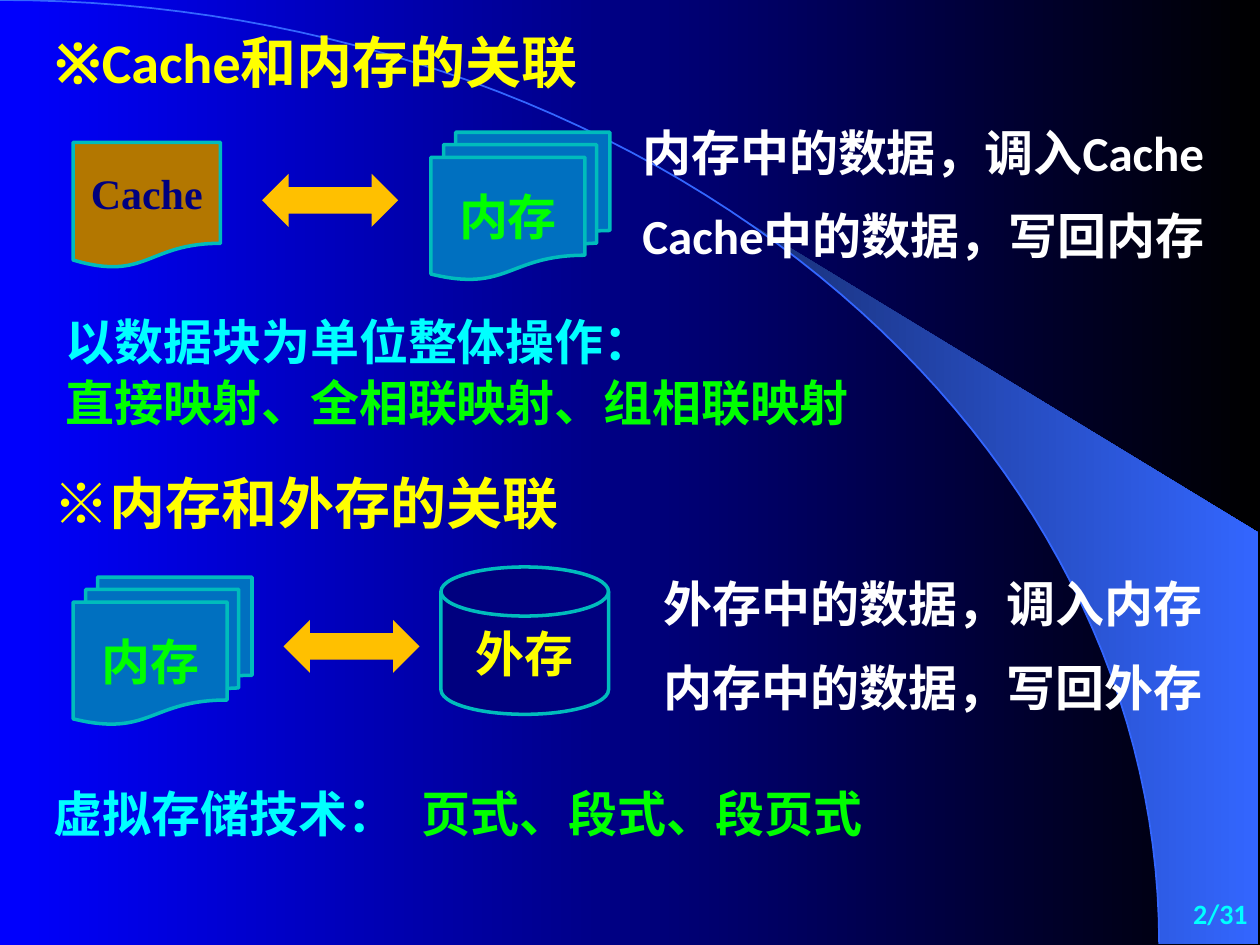
from dataclasses import dataclass
from math import acos, cos, pi, sin

from lxml.etree import SubElement
from pptx import Presentation
from pptx.dml.color import RGBColor
from pptx.enum.shapes import MSO_SHAPE as Preset
from pptx.enum.text import MSO_ANCHOR as Anchor, MSO_AUTO_SIZE as AutoSize, PP_ALIGN as Align
from pptx.oxml.ns import qn
from pptx.util import Inches, Pt

COLORS = {
    "blue": "0000FF", "black": "000000", "wedge": "182F76", "arc": "3366FF",
    "memory": "0070C0", "outline": "00BCBC", "cache": "B37700", "navy": "00007F",
    "arrow": "FFC000", "yellow": "FFFF00", "green": "00FF00", "cyan": "00FFFF",
    "white": "FFFFFF",
}
CJK = "Noto Sans CJK SC"
ARC_WIDTH, ARC_HEIGHT = 9.2, 7.49


@dataclass
class Caption:
    text: str
    box: tuple
    color: str
    size: int = 28
    align: Align = Align.LEFT
    anchor: Anchor = Anchor.TOP


@dataclass
class Store:
    preset: Preset
    box: tuple
    fill: str
    text: str
    color: str
    size: int = 28
    font: str = CJK


CAPTIONS = [
    Caption("内存中的数据，调入Cache", (5, 0.92, 5, 0.58), "white"),
    Caption("Cache中的数据，写回内存", (5, 1.58, 4.83, 0.58), "white"),
    Caption("※内存和外存的关联", (0.33, 3.67, 5.42, 0.67), "yellow", 32),
    Caption("外存中的数据，调入内存", (5.17, 4.5, 4.83, 0.58), "white"),
    Caption("内存中的数据，写回外存", (5.17, 5.17, 4.83, 0.58), "white"),
    Caption("虚拟存储技术：", (0.33, 6.17, 3.33, 0.67), "cyan"),
    Caption("页式、段式、段页式", (3.25, 6.17, 4.08, 0.58), "green"),
    Caption("2/31", (7.92, 7, 2.08, 0.5), "cyan", 16, Align.RIGHT, Anchor.MIDDLE),
]
STORES = [
    Store(Preset.FLOWCHART_MULTIDOCUMENT, (3.42, 1.05, 1.42, 1.17), "memory", "内存", "green"),
    Store(Preset.FLOWCHART_DOCUMENT, (0.58, 1.13, 1.17, 1), "cache", "Cache", "navy", 24,
          "Times New Roman"),
    Store(Preset.FLOWCHART_MAGNETIC_DISK, (3.5, 4.5, 1.33, 1.17), "navy", "外存", "yellow"),
    Store(Preset.FLOWCHART_MULTIDOCUMENT, (0.58, 4.58, 1.42, 1.17), "memory", "内存", "green"),
]
ARROWS = [(2.08, 1.38, 1.08, 0.42), (2.25, 4.92, 1.08, 0.42)]


def rgb(name: str) -> RGBColor:
    return RGBColor.from_string(COLORS[name])


def apply(target, formats: dict) -> None:
    for attribute, value in formats.items():
        setattr(target, attribute, value)


def place(shape, box: tuple) -> None:
    apply(shape, dict(zip(("left", "top", "width", "height"), map(Inches, box))))


def write(paragraph, text: str, color: str, size: int, font: str = "Calibri",
          align: Align = Align.LEFT) -> None:
    run = paragraph.add_run()
    run.text = text
    apply(paragraph, {"alignment": align, "space_before": Pt(0)})
    apply(run.font, {"name": font, "size": Pt(size), "bold": True})
    run.font.color.rgb = rgb(color)
    SubElement(run.font._element, qn("a:ea"), typeface=CJK)


def set_frame(frame, anchor: Anchor) -> None:
    apply(frame, {"word_wrap": True, "auto_size": AutoSize.NONE, "vertical_anchor": anchor})


def set_gradient(fill, names: tuple) -> None:
    fill.gradient()
    fill.gradient_angle = 0
    for stop, name in zip(fill.gradient_stops, names):
        stop.color.rgb = rgb(name)


def arc_points(start: float, steps: int = 60) -> list:
    angles = [start + (pi / 2 - start) * i / steps for i in range(steps + 1)]
    return [(Inches(ARC_WIDTH * sin(a)), Inches(ARC_HEIGHT * (1 - cos(a)))) for a in angles]


def add_outline(slide, points: list, close: bool):
    builder = slide.shapes.build_freeform(*points[0])
    builder.add_line_segments(points[1:], close=close)
    outline = builder.convert_to_shape()
    outline.shadow.inherit = False
    outline.element.getparent().insert(2, outline.element)
    return outline


def add_backdrop(slide) -> None:
    set_gradient(slide.background.fill, ("blue", "black"))
    arc = add_outline(slide, arc_points(0), False)
    arc.fill.background()
    arc.line.color.rgb = rgb("arc")
    arc.line.width = Pt(1)
    tangent = acos(1 - 1.73 / ARC_HEIGHT)
    right_edge = [(Inches(9.99), Inches(y)) for y in (7.49, 4.23)]
    wedge = add_outline(slide, arc_points(tangent) + right_edge, True)
    set_gradient(wedge.fill, ("wedge", "arc"))
    wedge.line.fill.background()


def add_preset(slide, preset: Preset, box: tuple, fill: str):
    shape = slide.shapes.add_shape(preset, *map(Inches, box))
    shape.shadow.inherit = False
    shape.fill.solid()
    shape.fill.fore_color.rgb = rgb(fill)
    return shape


def add_store(slide, store: Store) -> None:
    shape = add_preset(slide, store.preset, store.box, store.fill)
    shape.line.color.rgb = rgb("outline")
    shape.line.width = Pt(2)
    set_frame(shape.text_frame, Anchor.MIDDLE)
    write(shape.text_frame.paragraphs[0], store.text, store.color, store.size, store.font,
          Align.CENTER)


def add_caption(slide, caption: Caption) -> None:
    frame = slide.shapes.add_textbox(*map(Inches, caption.box)).text_frame
    set_frame(frame, caption.anchor)
    write(frame.paragraphs[0], caption.text, caption.color, caption.size, align=caption.align)


def fill_placeholders(slide) -> None:
    title, mapping = slide.shapes.title, slide.placeholders[1]
    place(title, (0.33, 0.17, 5.42, 0.67))
    set_frame(title.text_frame, Anchor.TOP)
    write(title.text_frame.paragraphs[0], "※Cache和内存的关联", "yellow", 32)
    place(mapping, (0.42, 2.42, 6.67, 1.17))
    set_frame(mapping.text_frame, Anchor.TOP)
    operation = mapping.text_frame.paragraphs[0]
    methods = mapping.text_frame.add_paragraph()
    for paragraph in (operation, methods):
        properties = paragraph._p.get_or_add_pPr()
        properties.set("marL", "0")
        properties.set("indent", "0")
        SubElement(properties, qn("a:buNone"))
    write(operation, "以数据块为单位整体操作：", "cyan", 28)
    write(methods, "直接映射、全相联映射、组相联映射", "green", 28)
    methods.space_before = Pt(1.5)


def main() -> None:
    deck = Presentation()
    apply(deck, {"slide_width": Inches(10), "slide_height": Inches(7.5)})
    slide = deck.slides.add_slide(deck.slide_layouts[1])
    add_backdrop(slide)
    fill_placeholders(slide)
    for store in STORES:
        add_store(slide, store)
    for box in ARROWS:
        add_preset(slide, Preset.LEFT_RIGHT_ARROW, box, "arrow").line.fill.background()
    for caption in CAPTIONS:
        add_caption(slide, caption)
    deck.save("out.pptx")


if __name__ == "__main__":
    main()
